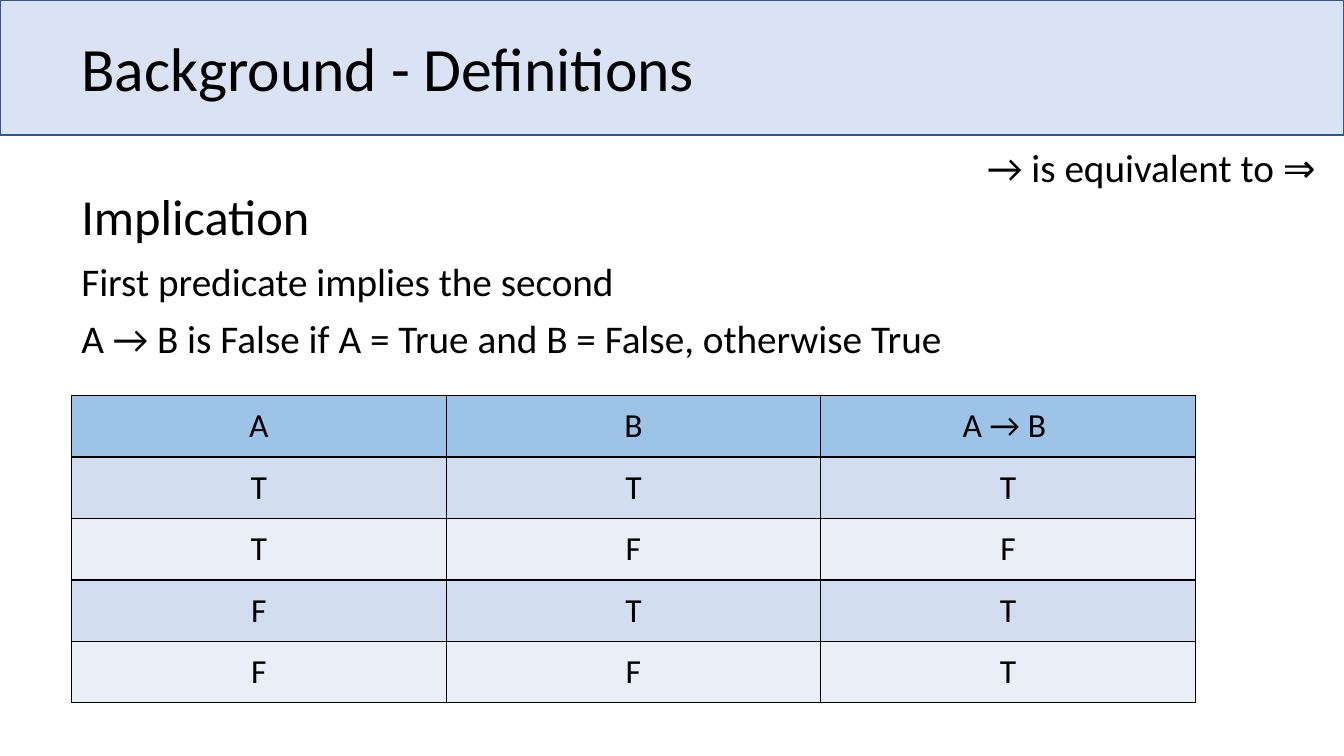
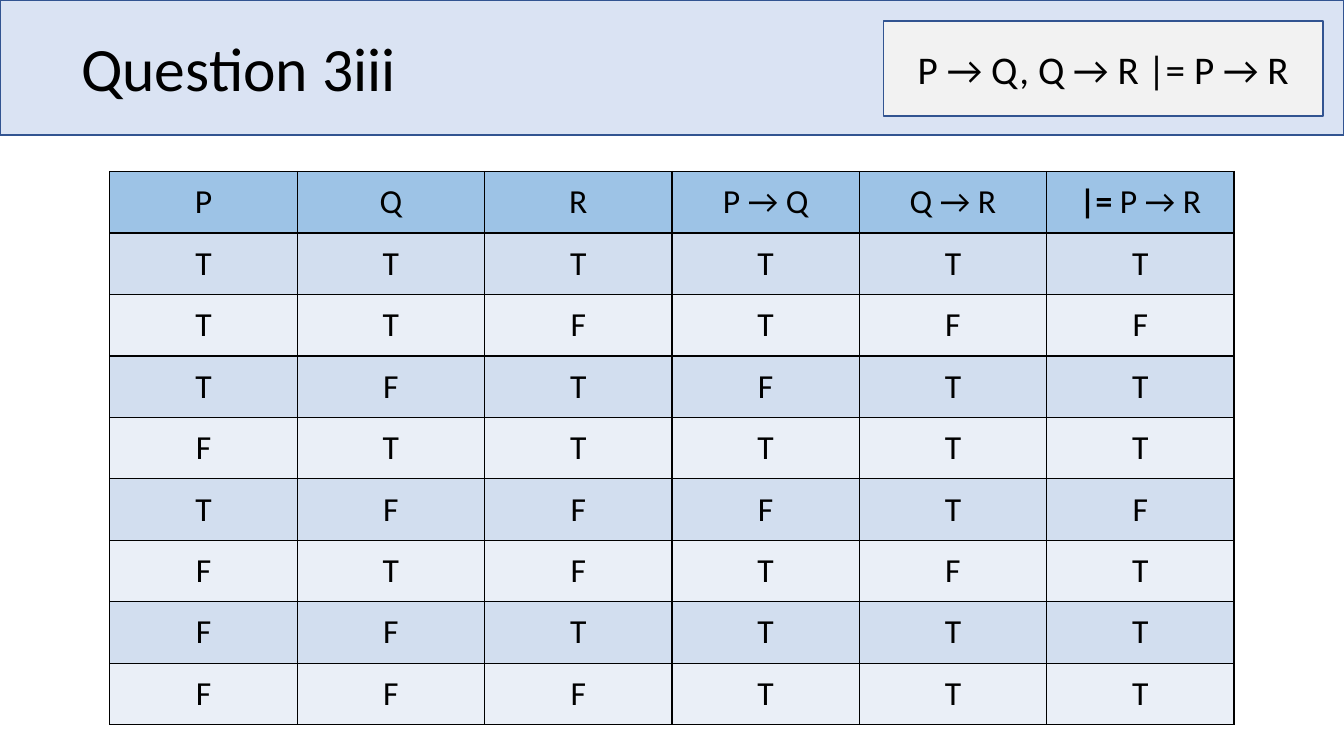
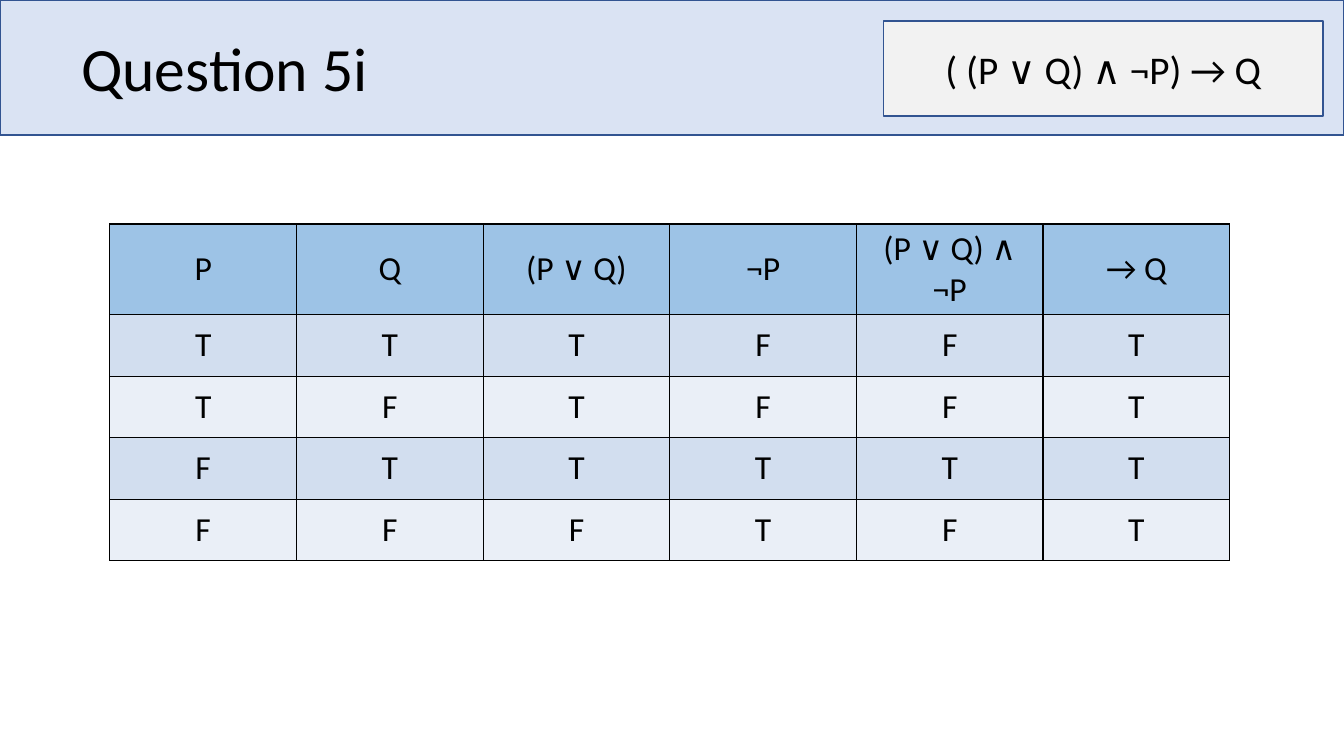
from lxml import etree
from pptx import Presentation
from pptx.dml.color import RGBColor
from pptx.enum import shapes, text
from pptx.oxml import ns
from pptx.util import Pt

FONT = "Calibri"
BLACK = "000000"
BAND, FORMULA, OUTLINE = "DAE3F3", "F2F2F2", "325491"
HEADER, ROW_FILLS = "9DC3E6", ("D2DEEF", "EAEFF7")
MARGIN, ROW_HEIGHT = 51, 43.92
LEFT, CENTER = text.PP_ALIGN.LEFT, text.PP_ALIGN.CENTER
color = RGBColor.from_string


def write(paragraph, content, size, align=LEFT):
    """Fill a paragraph, with any leading entailment sign in bold."""
    before, sign, rest = content.rpartition("|= ")
    pieces = [(sign, True), (rest, False)] if sign and not before else [(content, False)]
    for piece, bold in pieces:
        run = paragraph.add_run()
        run.text = piece
        run.font.bold = bold
    paragraph.alignment = align
    paragraph.font.name = FONT
    paragraph.font.size = Pt(size)
    paragraph.font.color.rgb = color(BLACK)


def add_box(slide, place, content="", size=28, fill=None):
    """Add a text box, or an outlined rectangle with centred text if filled."""
    place = [Pt(length) for length in place]
    if fill:
        shape = slide.shapes.add_shape(shapes.MSO_SHAPE.RECTANGLE, *place)
        shape.shadow.inherit = False
        shape.fill.solid()
        shape.fill.fore_color.rgb = color(fill)
        shape.line.color.rgb = color(OUTLINE)
        shape.line.width = Pt(1)
    else:
        shape = slide.shapes.add_textbox(*place)
    shape.text_frame.word_wrap = True
    if content:
        write(shape.text_frame.paragraphs[0], content, size, CENTER if fill else LEFT)
    return shape


# Each slide: title, formula, text lines, table place (left, top, width), table rows
deck = [
    ("Background - Definitions", None,
     [("→ is equivalent to ⇒ ", 28, (698, 98.5, 262, 41)),
      ("Implication", 36, (MARGIN, 129, 858, 51)),
      ("First predicate implies the second", 28, (MARGIN, 180, 858, 41)),
      ("A → B is False if A = True and B = False, otherwise True", 28,
       (MARGIN, 221, 858, 41))],
     (MARGIN, 282.5, 803),
     [("A", "B", "A → B "), "TTT", "TFF", "FTT", "FFT"]),
    ("Question 3iii", "P → Q, Q → R |= P → R", [],
     (78.5, 122.5, 803),
     [("P", "Q", "R", "P → Q", "Q → R", "|= P → R"),
      "TTTTTT", "TTFTFF", "TFTFTT", "FTTTTT",
      "TFFFTF", "FTFTFT", "FFTTTT", "FFFTTT"]),
    ("Question 5i", "( (P ∨ Q) ∧ ¬P) → Q", [],
     (78.5, 160, 800),
     [("P", "Q", "(P ∨ Q)", "¬P", "(P ∨ Q) ∧ ¬P", "→ Q"),
      "TTTFFT", "TFTFFT", "FTTTTT", "FFFTFT"]),
]

presentation = Presentation()
presentation.slide_width, presentation.slide_height = Pt(960), Pt(540)

for title, formula, lines, (left, top, width), rows in deck:
    slide = presentation.slides.add_slide(presentation.slide_layouts[6])
    add_box(slide, (0, 0, 960, 96.5), fill=BAND)
    heading = add_box(slide, (MARGIN, -1, 828, 104.5), title, 44).text_frame
    heading.vertical_anchor = text.MSO_ANCHOR.MIDDLE
    heading.paragraphs[0].line_spacing = 0.9
    if formula:
        add_box(slide, (631, 15, 314, 68), formula, fill=FORMULA)
    for content, size, place in lines:
        add_box(slide, place, content, size)

    table = slide.shapes.add_table(
        len(rows), len(rows[0]), Pt(left), Pt(top), Pt(width), Pt(ROW_HEIGHT * len(rows))).table
    table.first_row = table.horz_banding = False
    for row_index, values in enumerate(rows):
        for column_index, value in enumerate(values):
            cell = table.cell(row_index, column_index)
            cell.vertical_anchor = text.MSO_ANCHOR.MIDDLE
            cell.fill.solid()
            cell.fill.fore_color.rgb = color(ROW_FILLS[(row_index - 1) % 2] if row_index else HEADER)
            write(cell.text_frame.paragraphs[0], value, 24, CENTER)
            properties = cell._tc.get_or_add_tcPr()
            for position, side in enumerate(("lnL", "lnR", "lnT", "lnB")):
                border = etree.Element(ns.qn(f"a:{side}"), w=str(Pt(1)))
                paint = etree.SubElement(border, ns.qn("a:solidFill"))
                etree.SubElement(paint, ns.qn("a:srgbClr"), val=BLACK)
                properties.insert(position, border)

presentation.save("out.pptx")
